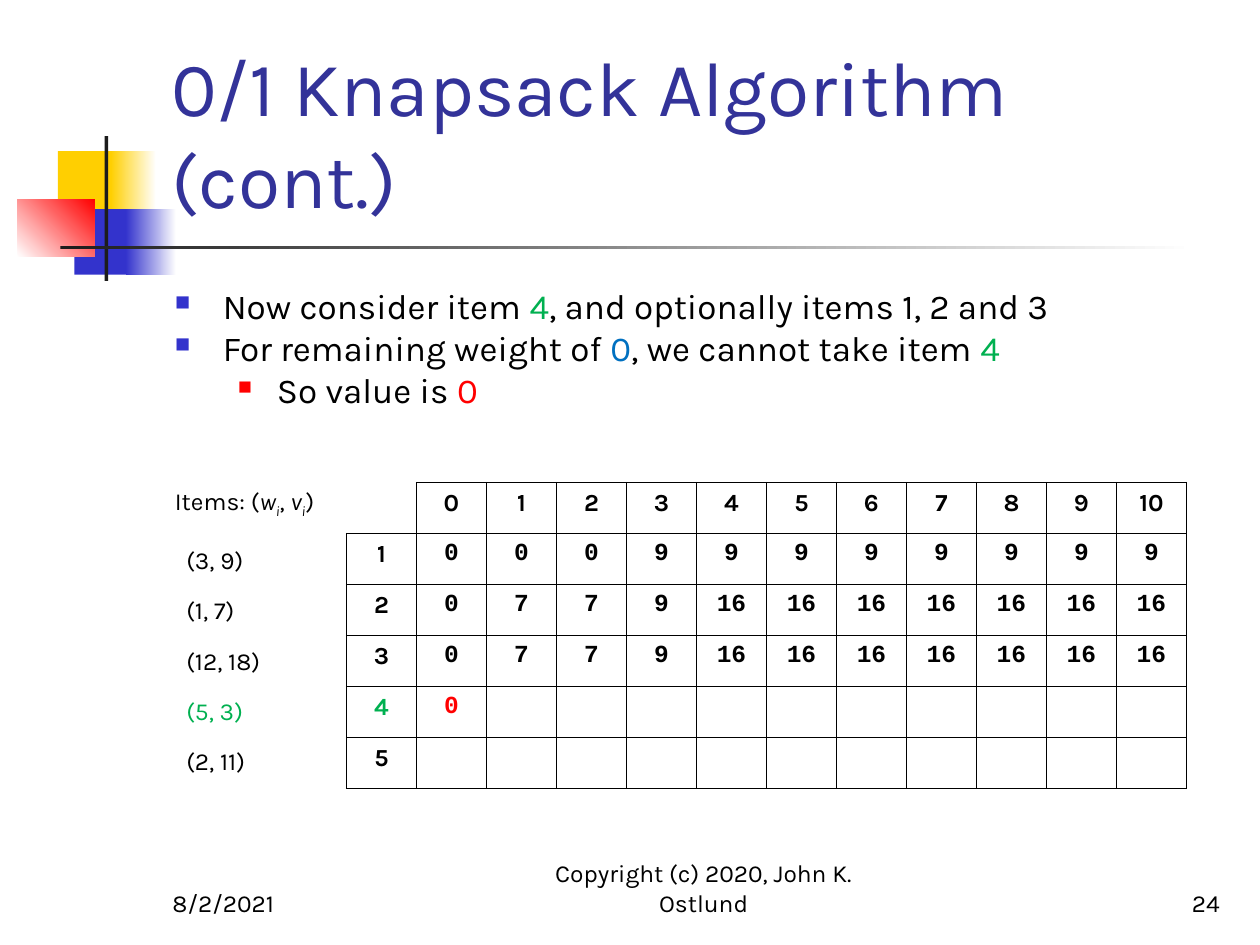
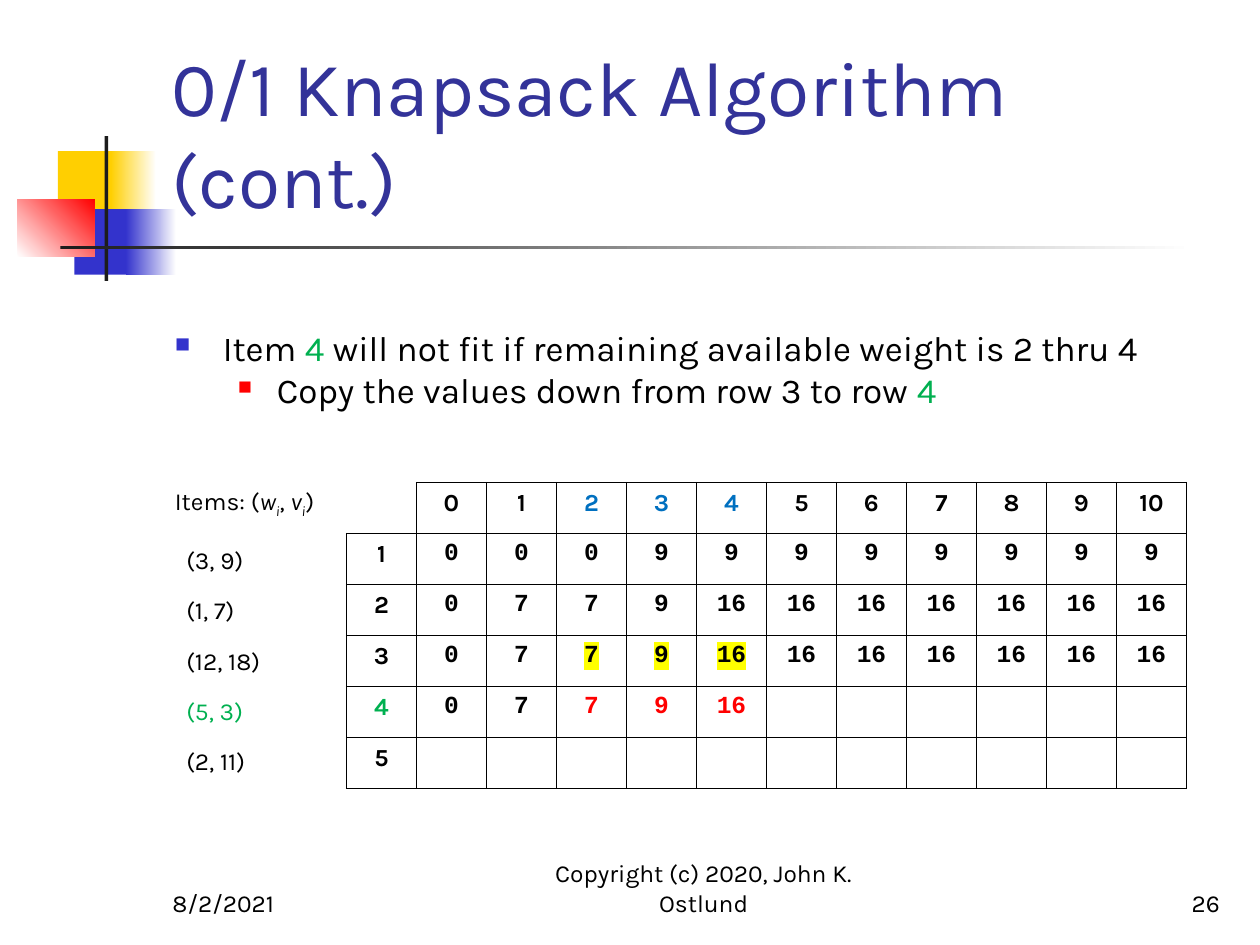
"""Build two slides tracing the 0/1 knapsack table."""
from dataclasses import dataclass, field
from typing import NamedTuple

from lxml.etree import SubElement
from pptx import Presentation
from pptx.dml.color import RGBColor
from pptx.enum.shapes import MSO_SHAPE
from pptx.enum.text import MSO_ANCHOR, PP_ALIGN
from pptx.oxml.ns import qn
from pptx.util import Inches, Pt

COLORS = {
    "black": "000000", "white": "FFFFFF", "title": "333399", "yellow": "FFCF01",
    "blue": "3333CC", "red": "FF0000", "ink": "1C1C1C", "item": "00B050",
    "weight": "0070C0", "highlight": "FFFF00",
}
TEXT_FONT = "Karla"
VALUE_FONT = "Courier New"
CAPACITY = 10
ITEMS = [(3, 9), (1, 7), (12, 18), (5, 3), (2, 11)]
CURRENT_ITEM = 4
SOLVED_ROWS = [
    [0] * 3 + [9] * 8,
    [0, 7, 7, 9] + [16] * 7,
    [0, 7, 7, 9] + [16] * 7,
]
LINE_FACTOR = 1.2
BODY_SIZE = 20
SMALL_SIZE = 14


class Box(NamedTuple):
    left: float
    top: float
    width: float
    height: float

    def lengths(self) -> list:
        return [Inches(value) for value in self]


class Span(NamedTuple):
    text: str
    color: str = "black"
    italic: bool = False
    subscript: bool = False


class Band(NamedTuple):
    box: Box
    start: str
    end: str = ""
    angle: int = 0


class Footer(NamedTuple):
    text: str
    box: Box
    align: PP_ALIGN


class BulletStyle(NamedTuple):
    margin: float
    indent: float
    color: str
    percent: int


@dataclass
class Bullet:
    spans: list[Span]
    level: int = 0


@dataclass
class Step:
    number: int
    bullets: list[Bullet]
    current_row: list[int]
    new_weights: range
    marked_weights: range = field(default_factory=lambda: range(0))
    skipped_lines: int = 0


BANDS = [
    Band(Box(0.46, 1.2, 0.48, 0.52), "yellow"),
    Band(Box(0.88, 1.2, 0.36, 0.52), "yellow", "white"),
    Band(Box(0.59, 1.66, 0.46, 0.52), "blue"),
    Band(Box(1, 1.66, 0.4, 0.52), "blue", "white"),
    Band(Box(0.14, 1.58, 0.61, 0.46), "white", "red", 45),
    Band(Box(0.83, 1.08, 0.03, 1.15), "ink"),
    Band(Box(0.48, 1.95, 9, 0.03), "ink", "white"),
]
FOOTERS = [
    Footer("8/2/2021", Box(1.27, 6.83, 2.08, 0.5), PP_ALIGN.LEFT),
    Footer("Copyright (c) 2020, John K. Ostlund", Box(4, 6.83, 3.17, 0.5), PP_ALIGN.CENTER),
]
NUMBER_BOX = Box(7.7, 6.83, 2.08, 0.5)
BULLET_STYLES = [BulletStyle(0.38, -0.38, "blue", 60), BulletStyle(0.81, -0.31, "red", 55)]
ITEMS_HEADING = [
    Span("Items: ("), Span("w", italic=True), Span("i", italic=True, subscript=True),
    Span(", "), Span("v", italic=True), Span("i", italic=True, subscript=True), Span(")"),
]
STEPS = [
    Step(
        24,
        [
            Bullet([Span("Now consider item "), Span("4", "item"),
                    Span(", and optionally items 1, 2 and 3")]),
            Bullet([Span("For remaining weight of "), Span("0", "weight"),
                    Span(", we cannot take item "), Span("4", "item")]),
            Bullet([Span("So value is "), Span("0", "red")], level=1),
        ],
        current_row=[0],
        new_weights=range(1),
    ),
    Step(
        26,
        [
            Bullet([Span("Item "), Span("4", "item"),
                    Span(" will not fit if remaining available weight is 2 thru 4")]),
            Bullet([Span("Copy the values down from row 3 to row "), Span("4", "item")], level=1),
        ],
        current_row=[0, 7, 7, 9, 16],
        new_weights=range(2, 5),
        marked_weights=range(2, 5),
        skipped_lines=1,
    ),
]


def rgb(color: str) -> RGBColor:
    return RGBColor.from_string(COLORS[color])


def style_run(run, size: float, color: str = "black", font: str = TEXT_FONT) -> None:
    run.font.size = Pt(size)
    run.font.name = font
    run.font.color.rgb = rgb(color)


def add_spans(paragraph, spans: list[Span], size: float) -> None:
    for span in spans:
        run = paragraph.add_run()
        run.text = span.text
        style_run(run, size, span.color)
        if span.italic:
            run.font.italic = True
        if span.subscript:
            run.font._element.set("baseline", "-25000")


def add_frame(slide, box: Box, anchor: MSO_ANCHOR = MSO_ANCHOR.TOP):
    frame = slide.shapes.add_textbox(*box.lengths()).text_frame
    frame.word_wrap = True
    frame.vertical_anchor = anchor
    return frame


def add_line(slide, text: str, box: Box, size: float, color: str = "black",
             align: PP_ALIGN = PP_ALIGN.LEFT) -> None:
    frame = add_frame(slide, box, MSO_ANCHOR.BOTTOM)
    frame.text = text
    line = frame.paragraphs[0]
    line.alignment = align
    style_run(line.runs[0], size, color)


def add_band(slide, band: Band) -> None:
    shape = slide.shapes.add_shape(MSO_SHAPE.RECTANGLE, *band.box.lengths())
    shape.shadow.inherit = False
    shape.line.fill.background()
    if band.end:
        shape.fill.gradient()
        shape.fill.gradient_angle = band.angle
        for stop, color in zip(shape.fill.gradient_stops, (band.start, band.end)):
            stop.color.rgb = rgb(color)
    else:
        shape.fill.solid()
        shape.fill.fore_color.rgb = rgb(band.start)


def set_indent(paragraph, margin: float, indent: float = 0):
    properties = paragraph._p.get_or_add_pPr()
    properties.set("marL", str(Inches(margin)))
    properties.set("indent", str(Inches(indent)))
    return properties


def next_paragraph(frame, index: int):
    return frame.add_paragraph() if index else frame.paragraphs[0]


def add_bullets(slide, step: Step) -> None:
    top = 2.21 + step.skipped_lines * BODY_SIZE * LINE_FACTOR / 72
    frame = add_frame(slide, Box(1.29, top, 8.5, 1.1))
    for index, bullet in enumerate(step.bullets):
        paragraph = next_paragraph(frame, index)
        paragraph.level = bullet.level
        style = BULLET_STYLES[bullet.level]
        properties = set_indent(paragraph, style.margin, style.indent)
        bullet_color = SubElement(properties, qn("a:buClr"))
        SubElement(bullet_color, qn("a:srgbClr"), val=COLORS[style.color])
        SubElement(properties, qn("a:buSzPct"), val=str(style.percent * 1000))
        SubElement(properties, qn("a:buChar"), char="■")
        add_spans(paragraph, bullet.spans, BODY_SIZE)


def add_items(slide) -> None:
    frame = add_frame(slide, Box(1.29, 3.81, 1.4, 2.5))
    add_spans(frame.paragraphs[0], ITEMS_HEADING, SMALL_SIZE)
    for number, (weight, value) in enumerate(ITEMS, start=1):
        paragraph = frame.add_paragraph()
        set_indent(paragraph, 0.09)
        paragraph.space_before = Pt((12 if number == 1 else 10) * LINE_FACTOR)
        color = "item" if number == CURRENT_ITEM else "black"
        add_spans(paragraph, [Span(f"({weight}, {value})", color)], SMALL_SIZE)


def set_borders(cell, sides: str) -> None:
    properties = cell._tc.get_or_add_tcPr()
    for position, side in enumerate(sides):
        border = SubElement(properties, qn(f"a:ln{side}"), w=str(Pt(1)))
        border_fill = SubElement(border, qn("a:solidFill"))
        SubElement(border_fill, qn("a:srgbClr"), val=COLORS["black"])
        properties.insert(position, border)


def highlight(run) -> None:
    mark = SubElement(run.font._element, qn("a:highlight"))
    SubElement(mark, qn("a:srgbClr"), val=COLORS["highlight"])
    run.font._element.find(qn("a:solidFill")).addnext(mark)


def cell_color(step: Step, row: int, weight: int) -> str:
    if row == 0 and weight in step.marked_weights:
        return "weight"
    if row == CURRENT_ITEM:
        if weight < 0:
            return "item"
        if weight in step.new_weights:
            return "red"
    return "black"


def add_value_table(slide, step: Step) -> None:
    value_rows = [list(range(CAPACITY + 1)), *SOLVED_ROWS, step.current_row, []]
    row_count, column_count = len(value_rows), CAPACITY + 2
    box = Box(2.75, 3.83, 6.67, 2.43)
    table = slide.shapes.add_table(row_count, column_count, *box.lengths()).table
    table.first_row = table.horz_banding = False
    for column in table.columns:
        column.width = Inches(box.width / column_count)
    for row, values in enumerate(value_rows):
        table.rows[row].height = Inches(box.height / row_count)
        labels = [row or "", *values]
        for column in range(column_count):
            cell = table.cell(row, column)
            cell.margin_bottom = 0
            cell.fill.solid()
            cell.fill.fore_color.rgb = rgb("white")
            set_borders(cell, "LRTB" if row or column else "RB")
            if column >= len(labels) or labels[column] == "":
                continue
            weight = column - 1
            paragraph = cell.text_frame.paragraphs[0]
            paragraph.text = str(labels[column])
            paragraph.alignment = PP_ALIGN.CENTER
            run = paragraph.runs[0]
            font = VALUE_FONT if row and column else TEXT_FONT
            style_run(run, SMALL_SIZE, cell_color(step, row, weight), font)
            run.font.bold = True
            if row == CURRENT_ITEM - 1 and weight in step.marked_weights:
                highlight(run)


def add_step(deck, step: Step) -> None:
    slide = deck.slides.add_slide(deck.slide_layouts[6])
    for band in BANDS:
        add_band(slide, band)
    add_line(slide, "0/1 Knapsack Algorithm (cont.)", Box(1.26, 0.23, 8.52, 1.6), 44, "title")
    add_bullets(slide, step)
    add_items(slide)
    add_value_table(slide, step)
    for footer in [*FOOTERS, Footer(str(step.number), NUMBER_BOX, PP_ALIGN.RIGHT)]:
        add_line(slide, footer.text, footer.box, SMALL_SIZE, align=footer.align)


def main() -> None:
    deck = Presentation()
    deck.slide_width, deck.slide_height = Inches(10), Inches(7.5)
    for step in STEPS:
        add_step(deck, step)
    deck.save("out.pptx")


if __name__ == "__main__":
    main()
